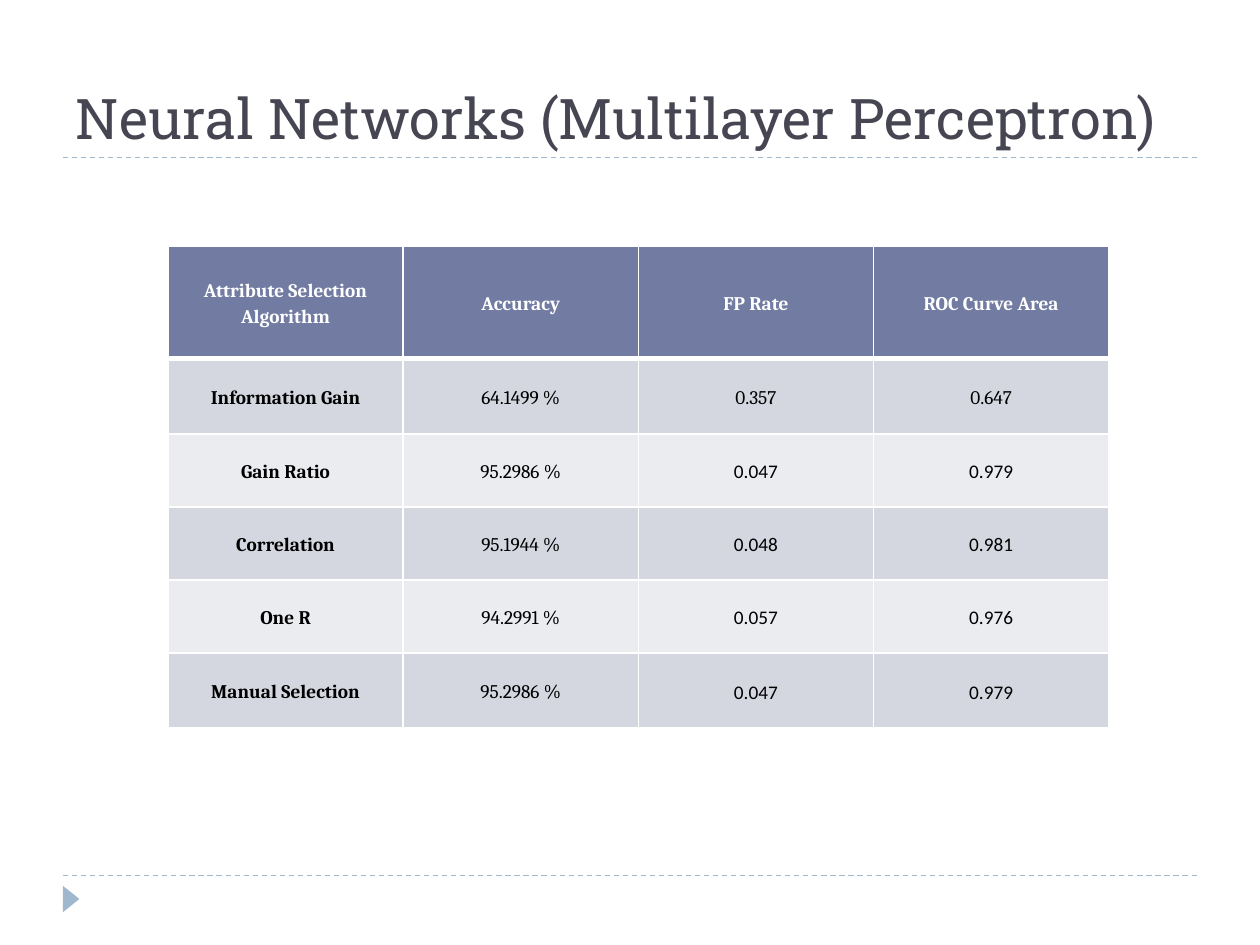
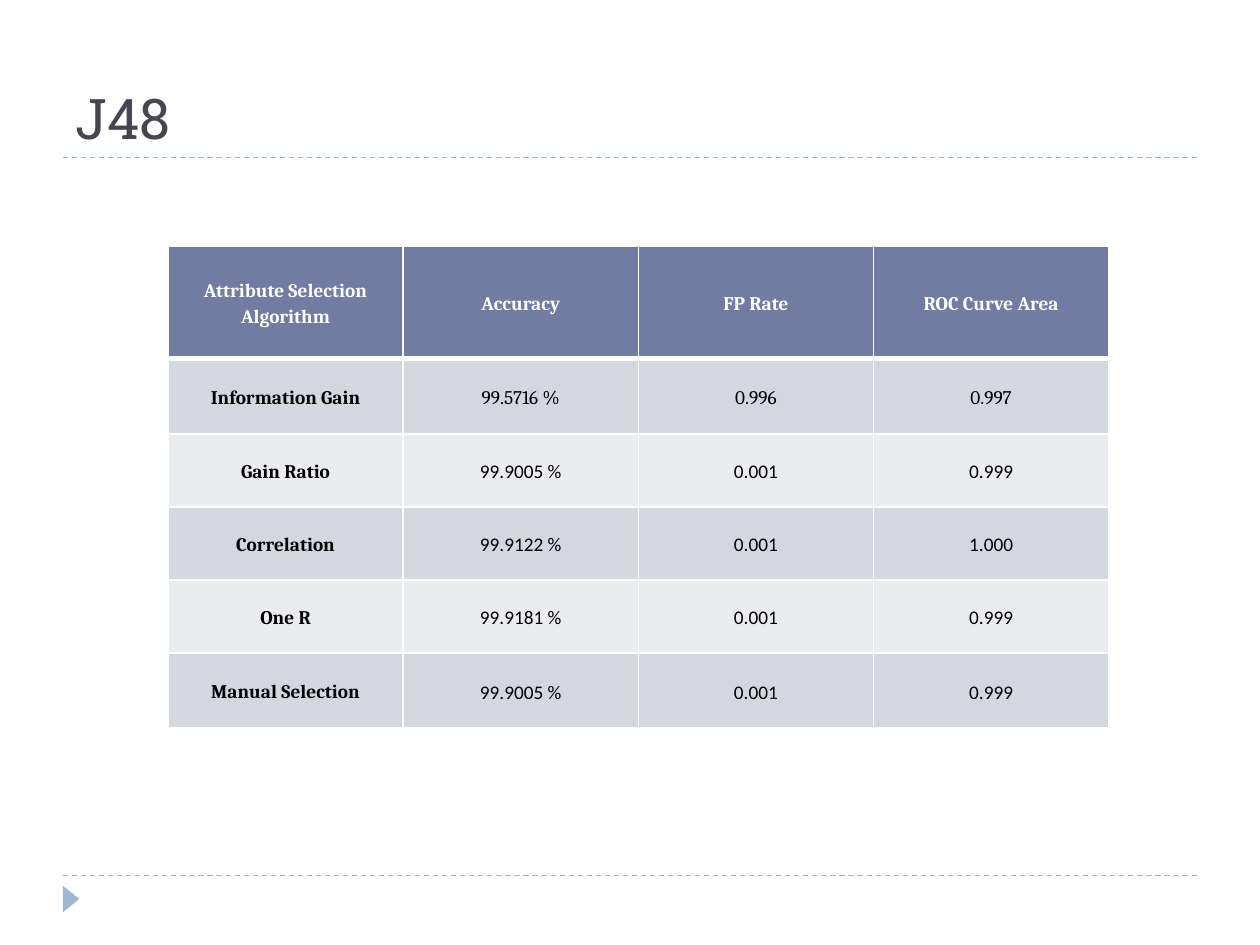
from lxml.etree import SubElement
from pptx import Presentation
from pptx.dml.color import RGBColor
from pptx.enum.dml import MSO_LINE
from pptx.enum.shapes import MSO_CONNECTOR, MSO_SHAPE
from pptx.enum.text import MSO_ANCHOR, MSO_AUTO_SIZE, PP_ALIGN
from pptx.oxml.ns import qn
from pptx.util import Pt

WHITE = RGBColor(0xFF, 0xFF, 0xFF)
BLACK = RGBColor(0x00, 0x00, 0x00)
INK = RGBColor(0x46, 0x46, 0x53)
SKY = RGBColor(0x9F, 0xB8, 0xCD)
HEADER = RGBColor(0x72, 0x7C, 0xA3)
BANDS = [RGBColor(0xD5, 0xD7, 0xE0), RGBColor(0xEB, 0xEC, 0xF0)]
SLAB, SERIF, SANS = "Roboto Slab", "Cambria", "Calibri"

HEADINGS = ["Attribute Selection Algorithm", "Accuracy", "FP Rate", "ROC Curve Area"]
ALGORITHMS = ["Information Gain", "Gain Ratio", "Correlation", "One R", "Manual Selection"]
SLIDES = [
    {"title": "Neural Networks (Multilayer Perceptron)", "first_sans_col": 2, "results": [
        ("64.1499 %", "0.357", "0.647"),
        ("95.2986 %", "0.047", "0.979"),
        ("95.1944 %", "0.048", "0.981"),
        ("94.2991 %", "0.057", "0.976"),
        ("95.2986 %", "0.047", "0.979")]},
    {"title": "J48", "first_sans_col": 1, "results": [
        ("99.5716 %", "0.996", "0.997"),
        ("99.9005 %", "0.001", "0.999"),
        ("99.9122 %", "0.001", "1.000"),
        ("99.9181 %", "0.001", "0.999"),
        ("99.9005 %", "0.001", "0.999")]},
]

MARGIN, RIGHT = 36, 684
RULES = [500.4, 90]
TITLE_BOX = {"left": MARGIN, "top": 12.25, "width": RIGHT - MARGIN, "height": 77.75}
MARKER_BOX = (33.1, 509, 15.1, 9.4)
TABLE_LEFT, TABLE_TOP, COL_WIDTH = 96, 140.5, 134.4
ROW_HEIGHTS = [64.5, 43, 41.75, 41.75, 41.75, 43]
CELL_FORMAT = {"margin_left": Pt(5), "margin_right": Pt(5), "margin_top": 0,
               "margin_bottom": 0, "vertical_anchor": MSO_ANCHOR.MIDDLE}


def set_all(obj, values):
    for name, value in values.items():
        setattr(obj, name, value)


def write(p, text, size, font, color, bold=False):
    r = p.add_run()
    r.text = text
    set_all(r.font, {"size": Pt(size), "name": font, "bold": bold})
    r.font.color.rgb = color


def add_frame(slide):
    for y in RULES:
        rule = slide.shapes.add_connector(MSO_CONNECTOR.STRAIGHT, Pt(MARGIN), Pt(y), Pt(RIGHT), Pt(y))
        rule.line.color.rgb = SKY
        set_all(rule.line, {"width": Pt(0.75), "dash_style": MSO_LINE.DASH})
        SubElement(rule.element.spPr, qn("a:effectLst"))
    marker = slide.shapes.add_shape(MSO_SHAPE.ISOSCELES_TRIANGLE, *map(Pt, MARKER_BOX))
    marker.rotation = 90
    marker.shadow.inherit = False
    marker.fill.solid()
    marker.fill.fore_color.rgb = SKY
    marker.line.fill.background()


def add_title(slide, text):
    title = slide.shapes.title
    set_all(title, {side: Pt(value) for side, value in TITLE_BOX.items()})
    tf = title.text_frame
    set_all(tf, {"vertical_anchor": MSO_ANCHOR.BOTTOM, "word_wrap": True,
                 "auto_size": MSO_AUTO_SIZE.NONE})
    p = tf.paragraphs[0]
    p.alignment = PP_ALIGN.LEFT
    write(p, text, 32, SLAB, INK)


def add_borders(cell, row):
    tc_pr = cell._tc.get_or_add_tcPr()
    widths = {"L": 1, "R": 1, "T": 3 if row == 1 else 1, "B": 3 if row == 0 else 1}
    for side, width in widths.items():
        ln = SubElement(tc_pr, qn(f"a:ln{side}"), w=str(Pt(width)))
        fill = SubElement(ln, qn("a:solidFill"))
        SubElement(fill, qn("a:srgbClr"), val=str(WHITE))


def add_results(slide, results, first_sans_col):
    rows = [HEADINGS] + [(name, *values) for name, values in zip(ALGORITHMS, results)]
    table = slide.shapes.add_table(
        len(rows), len(HEADINGS), Pt(TABLE_LEFT), Pt(TABLE_TOP),
        Pt(COL_WIDTH * len(HEADINGS)), Pt(sum(ROW_HEIGHTS))).table
    set_all(table, {"first_row": False, "horz_banding": False})
    for col in table.columns:
        col.width = Pt(COL_WIDTH)
    for i, (row, height) in enumerate(zip(rows, ROW_HEIGHTS)):
        table.rows[i].height = Pt(height)
        for j, text in enumerate(row):
            cell = table.cell(i, j)
            set_all(cell, CELL_FORMAT)
            add_borders(cell, i)
            cell.fill.solid()
            cell.fill.fore_color.rgb = BANDS[(i - 1) % 2] if i else HEADER
            p = cell.text_frame.paragraphs[0]
            set_all(p, {"alignment": PP_ALIGN.CENTER, "line_spacing": 1.15})
            font = SANS if i > 1 and j >= first_sans_col else SERIF
            write(p, text, 11, font, BLACK if i else WHITE, bold=i == 0 or j == 0)


prs = Presentation()
set_all(prs, {"slide_width": Pt(720), "slide_height": Pt(540)})
for content in SLIDES:
    s = prs.slides.add_slide(prs.slide_layouts[5])
    add_frame(s)
    add_title(s, content["title"])
    add_results(s, content["results"], content["first_sans_col"])
prs.save("out.pptx")
